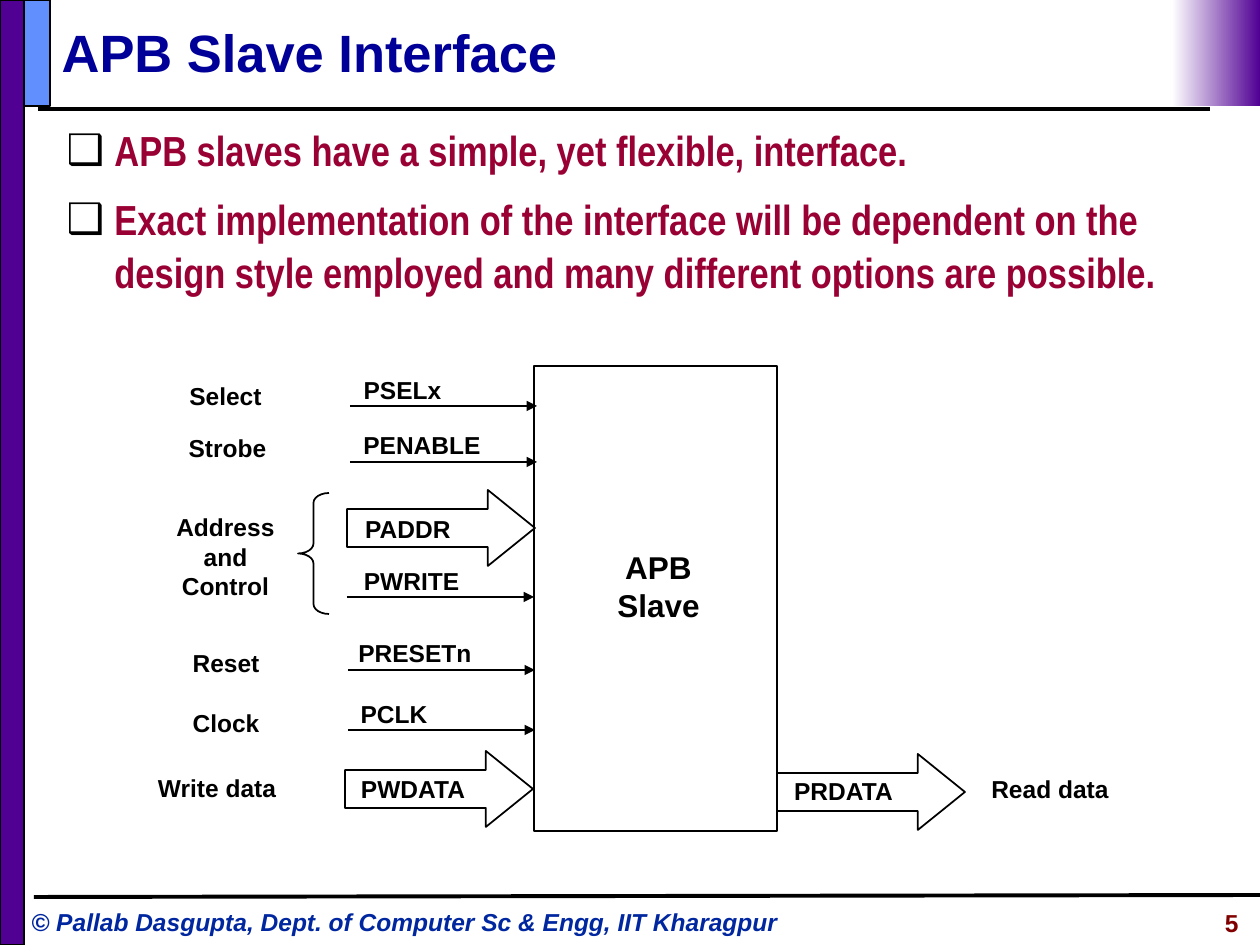
"""Build the slide on the slave interface with its signal diagram."""
from typing import NamedTuple

from lxml import etree
from pptx import Presentation, util as u
from pptx.dml.color import RGBColor
from pptx.enum import shapes as es, text as et
from pptx.oxml.ns import qn

HUE = {"ink": "000000", "white": "FFFFFF", "bar": "500093", "tab": "618FFD",
       "title": "000099", "body": "990033", "foot": "00279F", "page": "800000"}
SCALE = 914400 / 126
THIN, THICK = 1, 2.25


class Label(NamedTuple):
    text: str
    x: int
    y: int
    w: int
    h: int = 43
    size: int = 14


class Wire(NamedTuple):
    x: int
    y: int


class Block(NamedTuple):
    kind: es.MSO_SHAPE
    x: int
    y: int
    w: int
    h: int
    fill: str = ""
    adj: tuple[float, ...] = ()


ARROW, RECT = es.MSO_SHAPE.RIGHT_ARROW, es.MSO_SHAPE.RECTANGLE
FRAME = [Block(RECT, 0, 0, 24, 945, "bar"), Block(RECT, 24, 0, 26, 106, "tab")]
BLOCKS = [Block(RECT, 534, 366, 243, 465)]
BLOCKS += [Block(ARROW, x, y, 188, 76, adj=(0.5, 0.62))
           for x, y in ((347, 490), (345, 751), (777, 754))]
BLOCKS += [Block(es.MSO_SHAPE.LEFT_BRACE, 298, 493, 31, 121, adj=(0.32, 0.5))]
WIRES = [Wire(350, 406), Wire(350, 462), Wire(347, 597), Wire(348, 670), Wire(348, 730)]
LABELS = [
    Label("APB\nSlave", 605, 542, 107, 88, 18),
    Label("Select", 177, 375, 97),
    Label("Strobe", 176, 427, 103),
    Label("Address\nand\nControl", 164, 506, 123, 101),
    Label("Reset", 180, 642, 92),
    Label("Clock", 180, 702, 92),
    Label("Write data", 145, 767, 144),
    Label("Read data", 979, 768, 142),
    Label("PSELx", 351, 369, 103),
    Label("PENABLE", 351, 424, 142),
    Label("PADDR", 352, 508, 112),
    Label("PWRITE", 351, 560, 121),
    Label("PRESETn", 346, 632, 138),
    Label("PCLK", 348, 693, 92),
    Label("PWDATA", 347, 768, 132),
    Label("PRDATA", 780, 770, 127),
]


def px(*vals: int) -> list[u.Emu]:
    """Turn pixels into EMU."""
    return [u.Emu(round(v * SCALE)) for v in vals]


def rgb(name: str) -> RGBColor:
    """Look up a colour."""
    return RGBColor.from_string(HUE[name])


def write(box, words: str, *, size: int, hue: str = "ink", face: str = "Arial",
          align=et.PP_ALIGN.LEFT, anchor=et.MSO_ANCHOR.TOP,
          wrap: bool = True, slant: bool = False) -> None:
    """Fill a shape with bold text in one format."""
    frame = box.text_frame
    frame.text = words
    frame.auto_size = et.MSO_AUTO_SIZE.NONE
    frame.word_wrap, frame.vertical_anchor = wrap, anchor
    for para in frame.paragraphs:
        para.alignment = align
        for run in para.runs:
            font = run.font
            font.size, font.name = u.Pt(size), face
            font.bold, font.italic = True, slant
            font.color.rgb = rgb(hue)


def place(box, *spot: int):
    """Move and size a shape in pixels."""
    box.left, box.top, box.width, box.height = px(*spot)
    return box


def draw(slide, item: Block):
    """Add an outlined preset shape."""
    box = slide.shapes.add_shape(item.kind, *px(item.x, item.y, item.w, item.h))
    box.shadow.inherit = False
    box.line.color.rgb, box.line.width = rgb("ink"), u.Pt(THIN)
    if item.fill:
        box.fill.solid()
        box.fill.fore_color.rgb = rgb(item.fill)
    else:
        box.fill.background()
    for i, val in enumerate(item.adj):
        box.adjustments[i] = val
    return box


def link(slide, *ends: int, width: float = THIN, head: bool = False) -> None:
    """Add a straight line, with an arrowhead on request."""
    line = slide.shapes.add_connector(es.MSO_CONNECTOR.STRAIGHT, *px(*ends))
    line.line.color.rgb, line.line.width = rgb("ink"), u.Pt(width)
    if head:
        etree.SubElement(line.line._get_or_add_ln(), qn("a:tailEnd"), type="triangle")
    etree.SubElement(line._element.spPr, qn("a:effectLst"))


def bullet(para) -> None:
    """Give a paragraph its box bullet, indent and spacing."""
    para.line_spacing, para.space_before = 1.05, u.Pt(9)
    prop = para._p.get_or_add_pPr()
    dent = u.Inches(0.38)
    prop.set("marL", str(dent))
    prop.set("indent", str(-dent))
    tone = etree.SubElement(prop, qn("a:buClr"))
    etree.SubElement(tone, qn("a:srgbClr"), val=HUE["ink"])
    etree.SubElement(prop, qn("a:buChar"), char="❑")


def main() -> None:
    """Build and save the deck."""
    deck = Presentation()
    deck.slide_width, deck.slide_height = px(1260, 945)
    slide = deck.slides.add_slide(deck.slide_layouts[1])

    link(slide, 38, 109, 1210, 109, width=THICK)
    link(slide, 34, 897, 1260, 895, width=THICK)
    for item in FRAME:
        draw(slide, item)
    fade = draw(slide, Block(RECT, 1172, 0, 88, 106))
    fade.line.fill.background()
    fade.fill.gradient()
    fade.fill.gradient_angle = 180
    for stop, name in zip(fade.fill.gradient_stops, ("bar", "white")):
        stop.color.rgb = rgb(name)

    write(place(slide.shapes.title, 49, 13, 1147, 77), "APB Slave Interface",
          size=30, hue="title", anchor=et.MSO_ANCHOR.MIDDLE)
    body = place(slide.placeholders[1], 54, 116, 1154, 192)
    write(body, "APB slaves have a simple, yet flexible, interface.\n"
          "Exact implementation of the interface will be dependent on the "
          "design style employed and many different options are possible.",
          size=24, hue="body", face="Arial Narrow")
    for para in body.text_frame.paragraphs:
        bullet(para)

    for item in BLOCKS:
        draw(slide, item)
    for wire in WIRES:
        link(slide, wire.x, wire.y, wire.x + 187, wire.y, head=True)
    for tag in LABELS:
        box = slide.shapes.add_textbox(*px(tag.x, tag.y, tag.w, tag.h))
        write(box, tag.text, size=tag.size, align=et.PP_ALIGN.CENTER, wrap=False)

    foot = slide.shapes.add_textbox(*px(19, 901, 803, 43))
    write(foot, "© Pallab Dasgupta, Dept. of Computer Sc & Engg, IIT Kharagpur",
          size=14, hue="foot", slant=True)
    page = slide.shapes.add_textbox(*px(1031, 902, 220, 43))
    write(page, "5", size=14, hue="page", align=et.PP_ALIGN.RIGHT)
    deck.save("out.pptx")


main()
